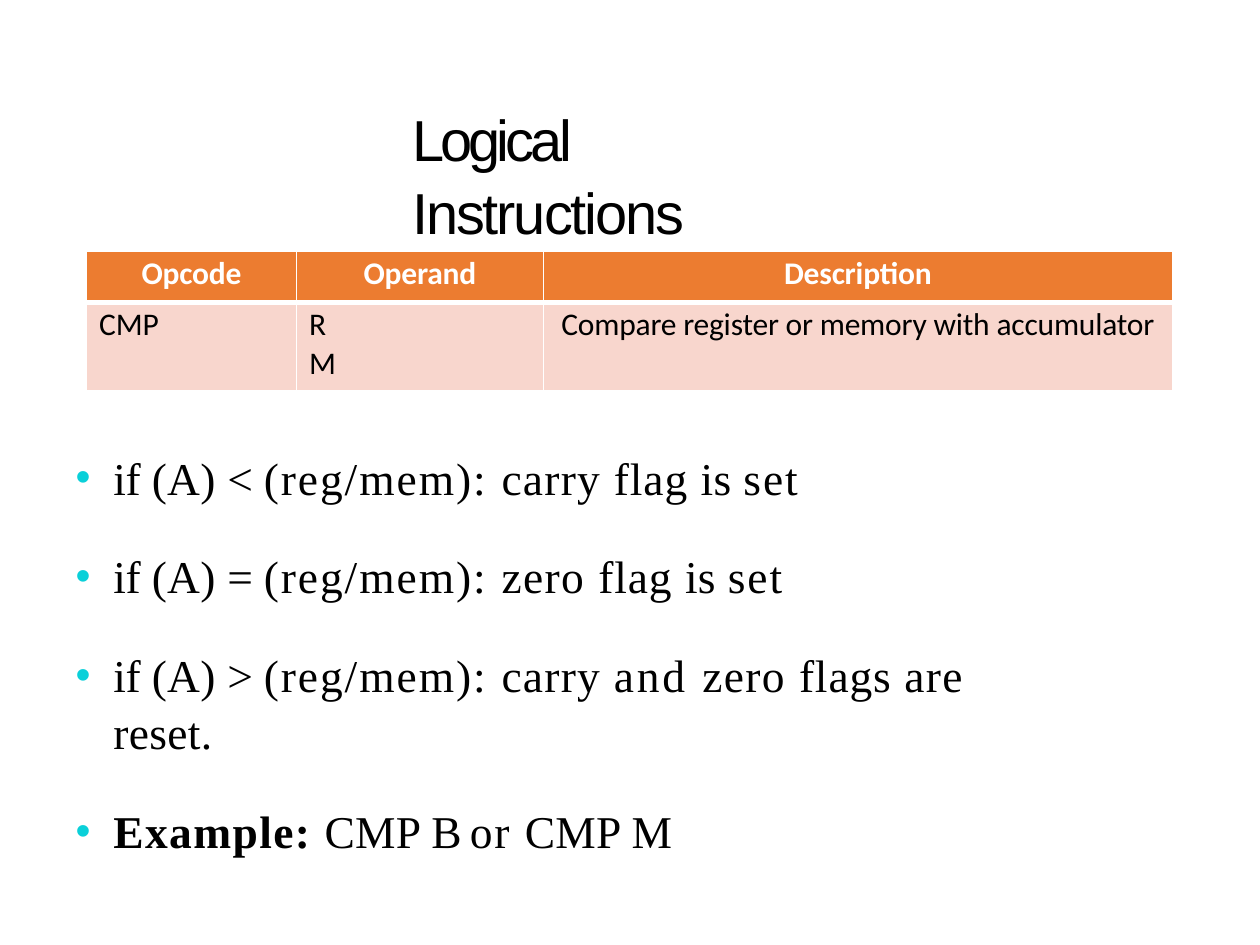
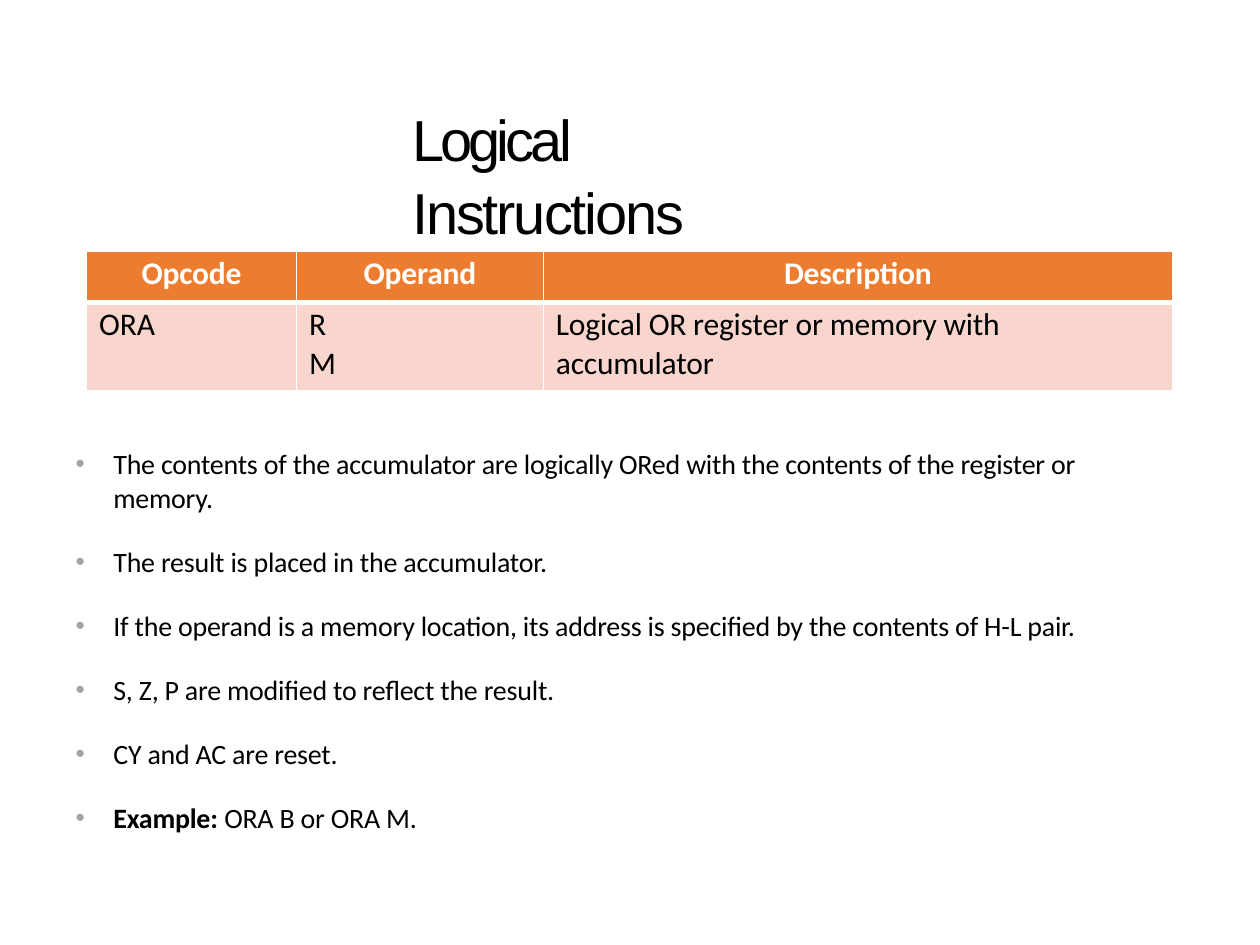
from itertools import groupby

from pptx import Presentation
from pptx.dml.color import RGBColor
from pptx.enum.text import MSO_ANCHOR as Anchor, MSO_AUTO_SIZE as AutoSize, PP_ALIGN as Align
from pptx.oxml import parse_xml
from pptx.oxml.ns import nsdecls
from pptx.util import Pt

BLACK = RGBColor(0x00, 0x00, 0x00)
WHITE = RGBColor(0xFF, 0xFF, 0xFF)
ORANGE = RGBColor(0xEC, 0x7C, 0x30)
PEACH = RGBColor(0xF8, 0xD6, 0xCD)
TURQUOISE = RGBColor(0x0A, 0xD0, 0xD9)
GREY = RGBColor(0xA4, 0xA4, 0xA4)

TITLE_ONLY = 5
TITLE_WORDS = {"Logical": -2.2, "Instructions": -1.2}
COLUMN_WIDTHS = (120, 141, 359.5)
ROW_HEIGHTS = (29.5, 50.5)
HEADINGS = ("Opcode", "Operand", "Description")

# Letter spacing of each word in the comparison rules, in points
COMPARE_WORDS = {
    "if": -0.2, "(A)": 0.1, "<": -0.3, "=": -0.3, ">": -0.3, "(reg/mem):": 1.1,
    "carry": 0.7, "zero": 0.8, "flag": 0.5, "flags": 0.5, "is": 0.2, "set": 1.1,
    "and": 1.6, "are": 0.8, "reset.": 0.2, "Example:": 0.8, "CMP": 0.1,
    "B": -1.9, "or": 1.1, "M": 0.3,
}
COMPARE_RULES = (
    "if (A) < (reg/mem): carry flag is set",
    "if (A) = (reg/mem): zero flag is set",
    "if (A) > (reg/mem): carry and zero flags are reset.",
    "Example: CMP B or CMP M",
)
OR_RULES = (
    "The contents of the accumulator are logically ORed with the contents "
    "of the register or memory.",
    "The result is placed in the accumulator.",
    "If the operand is a memory location, its address is specified by the "
    "contents of H-L pair.",
    "S, Z, P are modified to reflect the result.",
    "CY and AC are reset.",
    "Example: ORA B or ORA M.",
)


class InstructionDeck:
    def __init__(self):
        self.deck = Presentation()
        self.deck.slide_width, self.deck.slide_height = Pt(720), Pt(540)
        self.page = None

    def add_page(self):
        self.page = self.deck.slides.add_slide(self.deck.slide_layouts[TITLE_ONLY])

    def style(self, span, font, size, color, bold=False, tracking=-0.1):
        span.font.name, span.font.size = font, Pt(size)
        span.font.color.rgb, span.font.bold = color, bold
        span._r.get_or_add_rPr().set("spc", str(round(tracking * 100)))

    def add_words(self, para, text, font, size, trackings):
        """Add the text as runs of equal letter spacing; "Example:" is bold."""
        words = text.split()
        pieces = [word + " " for word in words[:-1]] + words[-1:]

        def look(piece):
            word = piece.strip()
            return trackings.get(word, -0.1), word == "Example:"

        for (tracking, bold), group in groupby(pieces, look):
            span = para.add_run()
            span.text = "".join(group)
            self.style(span, font, size, BLACK, bold, tracking)

    def place(self, box, left, top, width, height, margins):
        box.left, box.top, box.width, box.height = map(Pt, (left, top, width, height))
        frame = box.text_frame
        (frame.margin_left, frame.margin_top,
         frame.margin_right, frame.margin_bottom) = map(Pt, margins)
        frame.word_wrap, frame.auto_size = True, AutoSize.NONE
        frame.vertical_anchor = Anchor.TOP
        return frame

    def title(self, text):
        frame = self.place(self.page.shapes.title, 234, 56, 253, 42, (1.5, 1.3, 10, 0))
        para = frame.paragraphs[0]
        para.alignment, para.space_before, para.line_spacing = Align.LEFT, Pt(1.1), 1.05
        self.add_words(para, text, "Arial", 33, TITLE_WORDS)

    def border(self, cell, is_heading):
        """Draw white cell borders, with a thick one under the headings."""
        thick = "B" if is_heading else "T"
        for side in "LRTB":
            width = Pt(3 if side == thick else 1)
            cell._tc.get_or_add_tcPr().append(parse_xml(
                f'<a:ln{side} {nsdecls("a")} w="{width}"><a:solidFill>'
                f'<a:srgbClr val="{WHITE}"/></a:solidFill></a:ln{side}>'))

    def fill_cell(self, cell, text, is_heading, alignment):
        self.border(cell, is_heading)
        cell.fill.solid()
        cell.fill.fore_color.rgb = ORANGE if is_heading else PEACH
        cell.margin_left = Pt(7.2 if alignment == Align.LEFT else 0)
        cell.margin_top, cell.margin_right, cell.margin_bottom = Pt(2), Pt(0), Pt(0)
        cell.text_frame.text = text
        for number, para in enumerate(cell.text_frame.paragraphs):
            para.alignment = alignment
            para.space_before = Pt(0 if number else 2.5)
            for span in para.runs:
                self.style(span, "Calibri", 18, WHITE if is_heading else BLACK, is_heading)

    def opcode_table(self, opcode, description, description_align):
        table = self.page.shapes.add_table(
            2, 3, Pt(49.5), Pt(143.3), Pt(sum(COLUMN_WIDTHS)), Pt(sum(ROW_HEIGHTS))).table
        table.horz_banding = False
        for column, width in zip(table.columns, COLUMN_WIDTHS):
            column.width = Pt(width)
        for row, height in zip(table.rows, ROW_HEIGHTS):
            row.height = Pt(height)
        values = (opcode, "R\nM", description)
        alignments = (Align.LEFT, Align.LEFT, description_align)
        for index, (heading, value, alignment) in enumerate(zip(HEADINGS, values, alignments)):
            self.fill_cell(table.cell(0, index), heading, True, Align.CENTER)
            self.fill_cell(table.cell(1, index), value, False, alignment)

    def bullet(self, para, color):
        props = para._p.get_or_add_pPr()
        props.set("marL", str(Pt(22.3)))
        props.set("indent", str(Pt(-21.6)))
        for content in (f'buClr {nsdecls("a")}><a:srgbClr val="{color}"/></a:buClr>',
                        f'buSzPct {nsdecls("a")} val="94000"/>',
                        f'buFont {nsdecls("a")} typeface="Arial"/>',
                        f'buChar {nsdecls("a")} char="•"/>'):
            props.append(parse_xml("<a:" + content))

    def bullets(self, rules, width, height, font, size, color, gap, line_spacing, trackings):
        box = self.page.shapes.add_textbox(0, 0, 0, 0)
        frame = self.place(box, 42.5, 254.5, width, height, (0, 0.9, 0, 0))
        for number, rule in enumerate(rules):
            para = frame.add_paragraph() if number else frame.paragraphs[0]
            para.space_before = Pt(gap if number else 1)
            para.line_spacing = line_spacing
            self.bullet(para, color)
            self.add_words(para, rule, font, size, trackings)


def main():
    show = InstructionDeck()

    show.add_page()
    show.title("Logical Instructions")
    show.opcode_table("CMP", "Compare register or memory with accumulator", Align.CENTER)
    show.bullets(COMPARE_RULES, 570, 199, "Times New Roman", 26, TURQUOISE,
                 gap=23.7, line_spacing=1.05, trackings=COMPARE_WORDS)

    show.add_page()
    show.title("Logical Instructions")
    show.opcode_table("ORA", "Logical OR register or memory with\naccumulator", Align.LEFT)
    show.bullets(OR_RULES, 585.5, 227, "Calibri", 16, GREY,
                 gap=17.4, line_spacing=1.0, trackings={})

    show.deck.save("out.pptx")


if __name__ == "__main__":
    main()
